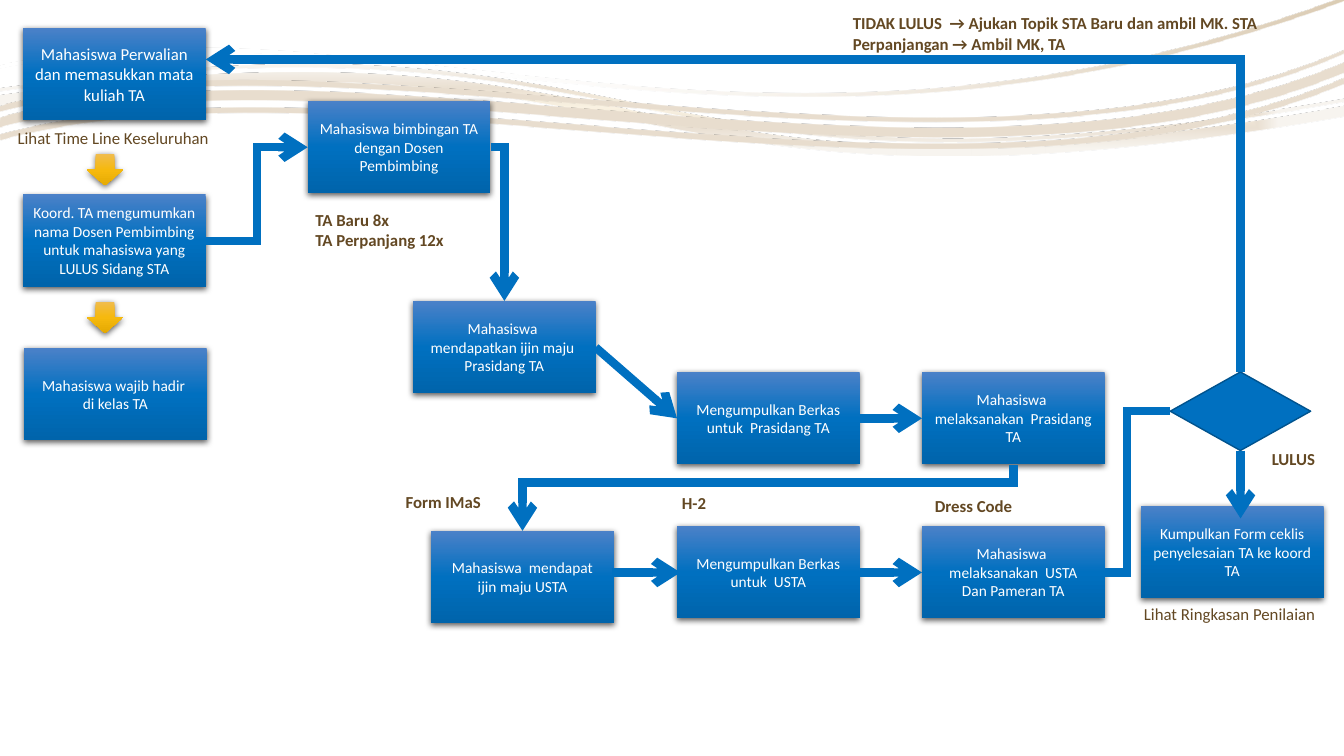
"""Builds the flow chart slide of the final project (TA) procedure."""
from math import cos, radians, sin
from lxml.etree import SubElement
from pptx import Presentation
from pptx.dml.color import RGBColor
from pptx.enum.shapes import MSO_CONNECTOR as CONNECTOR, MSO_SHAPE as SHAPE
from pptx.enum.text import MSO_ANCHOR as ANCHOR, MSO_AUTO_SIZE as AUTO_SIZE, PP_ALIGN as ALIGN
from pptx.oxml.ns import qn
from pptx.util import Pt

BLUE = RGBColor(0x00, 0x70, 0xC0)
DARK_BLUE = RGBColor(0x00, 0x53, 0x8E)
BROWN = RGBColor(0x63, 0x48, 0x23)
WHITE = RGBColor(0xFF, 0xFF, 0xFF)
BLACK = RGBColor(0, 0, 0)
FONT = "Calibri"


def stop(position, color, alpha=100):
    return position, RGBColor.from_string(color), alpha


def ribbon(points, thickness):
    return [[(x, y + thickness) for x, y in reversed(points)], points]


BLUE_STOPS = [stop(0, "4B81C8"), stop(50, "0070C0"), stop(100, "0064AB")]
GOLD_STOPS = [stop(0, "F0BC4E"), stop(50, "F6B90E"), stop(100, "E5AA02")]

# frame, contours made of Bezier edges, gradient stops, shade
WAVE_TILT = -3.5
WAVES = [
    ((0.7, 28.1, 958.3, 97.2),
     [[[(220.3, 51.8), (482.4, 53.3), (531.4, 150.5), (959.8, 75.6)],
       [(959.8, 82.8), (433.4, 175), (480.2, 7.2), (0, 75.6)],
       [(0, 68.4), (89.3, 56.2), (159.8, 51.1), (220.3, 51.8)]],
      [[(220.3, 46.1), (482.4, 48.2), (531.4, 145.4), (959.8, 70.6)],
       [(959.8, 72.7), (433.4, 164.9), (480.2, -2.9), (0, 65.5)],
       [(0, 63.4), (89.3, 50.4), (159.8, 46.1), (220.3, 46.1)]]],
     [stop(0, "FAF1DF", 90), stop(18, "EAE0D2"), stop(37, "F7F4EF"), stop(100, "F7F4EF")],
     ("shape", 50, 50, 50, 50)),
    ((2.2, 10.8, 961.2, 123.1),
     [ribbon([(0, 46.1), (268.6, -10.1), (542.9, 151.9), (960, -2.2)], 2.5)],
     [stop(36, "FFFFFF", 30), stop(100, "CBB491")], 45),
    ((-0.7, 36.7, 961.9, 82.8),
     [ribbon([(0, 95), (251.3, 27.4), (687.6, 169.2), (960, 55.4)], 4),
      ribbon([(0, 83.5), (251.3, 15.8), (687.6, 158.4), (960, 44.6)], 7),
      ribbon([(0, 75.6), (252.7, 10.1), (689.8, 151.9), (960, 35.3)], 3.6)],
     [stop(36, "FFFFFF", 47), stop(100, "E8DDCE")], ("rect", 100, 100, 0, 0)),
]

BOX_WIDTH, BOX_HEIGHT = 130.5, 66
BOXES = [
    (16.5, 20, 12, ["Mahasiswa Perwalian dan memasukkan mata kuliah TA"]),
    (16.5, 138.8, 11, ["Koord. TA mengumumkan nama Dosen Pembimbing untuk mahasiswa yang LULUS Sidang STA"]),
    (219.8, 72, 11, ["Mahasiswa bimbingan TA dengan Dosen Pembimbing"]),
    (17.2, 248.6, 11, ["Mahasiswa wajib hadir ", "di kelas TA"]),
    (295, 215, 11, ["Mahasiswa  mendapatkan ijin maju  Prasidang TA"]),
    (483.6, 265.7, 11, ["Mengumpulkan Berkas untuk  Prasidang TA"]),
    (658.6, 265.7, 11, ["Mahasiswa  melaksanakan  Prasidang TA"]),
    (308, 379.2, 11, ["Mahasiswa  mendapat ijin maju USTA"]),
    (483.6, 375.8, 11, ["Mengumpulkan Berkas untuk  USTA"]),
    (658.6, 375.8, 11, ["Mahasiswa  melaksanakan  USTA", "Dan Pameran TA"]),
    (815, 361.3, 11, ["Kumpulkan Form ceklis penyelesaian TA ke koord TA"]),
]
DOWN_ARROW_TOPS = [110, 215.4]

# left, top, width, bold, wrap, lines
LABELS = [
    (5.5, 87.8, 152.6, False, False, ["Lihat Time Line Keseluruhan"]),
    (901.4, 317, 60.5, True, True, ["LULUS"]),
    (602.1, 5.8, 308.9, True, False, ["TIDAK LULUS  → Ajukan Topik STA Baru dan ambil MK. STA",
                                      "Perpanjangan → Ambil MK, TA"]),
    (810, 427.7, 138.2, False, False, ["Lihat Ringkasan Penilaian"]),
    (218.2, 146.2, 107.3, True, False, ["TA Baru 8x", "TA Perpanjang 12x"]),
    (480, 348.5, 32.4, True, False, ["H-2"]),
    (282.6, 347.8, 87.8, True, True, ["Form IMaS"]),
    (660.7, 350.6, 70.6, True, False, ["Dress Code"]),
]

# start, end, preset, bend position, starts vertically, arrowhead
LINKS = [
    ((147, 172), (219.8, 105.2), "bentConnector3", 50, False, True),
    ((350.4, 105.2), (360.3, 215), "bentConnector2", None, False, True),
    ((886.1, 321.8), (886.1, 370.3), "bentConnector3", 50, True, True),
    ((886.1, 265.7), (147, 42.5), "bentConnector2", None, True, True),
    ((425.5, 248.2), (483.6, 298.8), "line", None, False, True),
    ((614.1, 298.8), (658.6, 298.8), "line", None, False, True),
    ((723.9, 332), (373.2, 379.2), "bentConnector3", 27.1, True, True),
    ((437, 408.9), (486, 408.9), "line", None, False, True),
    ((614.1, 408.9), (658.6, 408.9), "line", None, False, True),
    ((789.1, 408.9), (835.9, 293.8), "bentConnector3", 34, False, False),
]


def add_color(parent, color, alpha):
    element = SubElement(parent, qn("a:srgbClr"), val=str(color))
    if alpha < 100:
        SubElement(element, qn("a:alpha"), val=str(alpha * 1000))


def set_gradient(shape, stops, shade):
    shape.fill.gradient()
    gradient = shape._element.spPr.find(qn("a:gradFill"))
    for child in list(gradient):
        gradient.remove(child)
    stop_list = SubElement(gradient, qn("a:gsLst"))
    for position, color, alpha in stops:
        add_color(SubElement(stop_list, qn("a:gs"), pos=str(position * 1000)), color, alpha)
    if isinstance(shade, tuple):
        kind, *sides = shade
        area = SubElement(gradient, qn("a:path"))
        area.set("path", kind)
        SubElement(area, qn("a:fillToRect"),
                   {side: str(value * 1000) for side, value in zip("ltrb", sides)})
    else:
        SubElement(gradient, qn("a:lin"), ang=str(shade * 60000), scaled="0")
    shape.line.fill.background()
    shape.shadow.inherit = False


def add_shadow(shape):
    effects = shape._element.spPr.find(qn("a:effectLst"))
    shadow = SubElement(effects, qn("a:outerShdw"), blurRad=str(Pt(4.5)), dist=str(Pt(1.5)),
                        dir="5400000", rotWithShape="0")
    add_color(shadow, BLACK, 63)


def write(frame, lines, size, color, bold=False, align=ALIGN.LEFT):
    for index, line in enumerate(lines):
        paragraph = frame.add_paragraph() if index else frame.paragraphs[0]
        paragraph.text, paragraph.alignment = line, align
        font = paragraph.font
        font.name, font.size, font.bold, font.color.rgb = FONT, Pt(size), bold, color


def curve_edges(outline):
    for element in list(outline):
        if element.tag == qn("a:moveTo"):
            count = 0
        elif element.tag == qn("a:lnTo"):
            if count % 4 == 0:
                curve = element
                curve.tag = qn("a:cubicBezTo")
            elif count % 4 < 3:
                curve.append(element[0])
                outline.remove(element)
            count += 1


def add_wave(shapes, frame, contours, stops, shade):
    left, top, width, height = frame
    middle_x, middle_y = left + width / 2, top + height / 2
    cosine, sine = cos(radians(-WAVE_TILT)), sin(radians(-WAVE_TILT))
    builder = None
    for edges in contours:
        offsets = [(x - middle_x, y - middle_y) for edge in edges for x, y in edge]
        first, *others = [(middle_x + x * cosine - y * sine, middle_y + x * sine + y * cosine)
                          for x, y in offsets]
        if builder is None:
            builder = shapes.build_freeform(*first, scale=Pt(1))
        else:
            builder.move_to(*first)
        builder.add_line_segments(others, close=True)
    wave = builder.convert_to_shape()
    outline = next(wave._element.iter(qn("a:path")))
    scale = wave.width / int(outline.get("w"))
    for point in outline.iter(qn("a:pt")):
        point.set("x", str(round(int(point.get("x")) * scale + wave.left - Pt(left))))
        point.set("y", str(round(int(point.get("y")) * scale + wave.top - Pt(top))))
    curve_edges(outline)
    wave.left, wave.top, wave.width, wave.height = map(Pt, frame)
    outline.set("w", str(Pt(width)))
    outline.set("h", str(Pt(height)))
    wave.rotation = WAVE_TILT
    set_gradient(wave, stops, shade)


def add_link(shapes, start, end, preset, bend, vertical, arrow):
    (x1, y1), (x2, y2) = start, end
    dx, dy = x2 - x1, y2 - y1
    if vertical:
        middle_x, middle_y = (x1 + x2) / 2, (y1 + y2) / 2
        half_width, half_height = abs(dy) / 2, abs(dx) / 2
        if (dx > 0) == (dy > 0):
            half_height = -half_height
        x1, x2 = middle_x - half_width, middle_x + half_width
        y1, y2 = middle_y - half_height, middle_y + half_height
    kind = CONNECTOR.STRAIGHT if preset == "line" else CONNECTOR.ELBOW
    connector = shapes.add_connector(kind, Pt(x1), Pt(y1), Pt(x2), Pt(y2))
    connector.line.color.rgb = BLUE
    connector.line.width = Pt(6)
    properties = connector._element.spPr
    if vertical:
        properties.find(qn("a:xfrm")).set("rot", str((90 if dy > 0 else 270) * 60000))
    geometry = properties.find(qn("a:prstGeom"))
    geometry.set("prst", preset)
    if bend is not None:
        guides = geometry.find(qn("a:avLst"))
        SubElement(guides, qn("a:gd"), name="adj1", fmla=f"val {round(bend * 1000)}")
    line = properties.find(qn("a:ln"))
    SubElement(line, qn("a:miter"), lim="800000")
    if arrow:
        SubElement(line, qn("a:tailEnd"), type="arrow")
    SubElement(properties, qn("a:effectLst"))


def main():
    presentation = Presentation()
    presentation.slide_width, presentation.slide_height = Pt(960), Pt(540)
    shapes = presentation.slides.add_slide(presentation.slide_layouts[6]).shapes
    for wave in WAVES:
        add_wave(shapes, *wave)
    for left, top, size, lines in BOXES:
        box = shapes.add_shape(SHAPE.RECTANGLE, Pt(left), Pt(top), Pt(BOX_WIDTH), Pt(BOX_HEIGHT))
        set_gradient(box, BLUE_STOPS, 90)
        add_shadow(box)
        box.text_frame.word_wrap = True
        box.text_frame.vertical_anchor = ANCHOR.MIDDLE
        write(box.text_frame, lines, size, WHITE, align=ALIGN.CENTER)
    for top in DOWN_ARROW_TOPS:
        down_arrow = shapes.add_shape(SHAPE.DOWN_ARROW, Pt(62), Pt(top), Pt(26), Pt(22.5))
        set_gradient(down_arrow, GOLD_STOPS, 90)
        add_shadow(down_arrow)
    decision = shapes.add_shape(SHAPE.FLOWCHART_DECISION, Pt(835.9), Pt(265.7), Pt(100.3), Pt(56.1))
    decision.fill.solid()
    decision.fill.fore_color.rgb = BLUE
    decision.line.color.rgb = DARK_BLUE
    decision.line.width = Pt(1)
    decision.shadow.inherit = False
    for link in LINKS:
        add_link(shapes, *link)
    for left, top, width, bold, wrap, lines in LABELS:
        label = shapes.add_textbox(Pt(left), Pt(top), Pt(width), Pt(7.2 + 14.4 * len(lines)))
        label.text_frame.word_wrap = wrap
        label.text_frame.auto_size = AUTO_SIZE.SHAPE_TO_FIT_TEXT
        write(label.text_frame, lines, 12, BROWN, bold)
    presentation.save("out.pptx")


if __name__ == "__main__":
    main()
